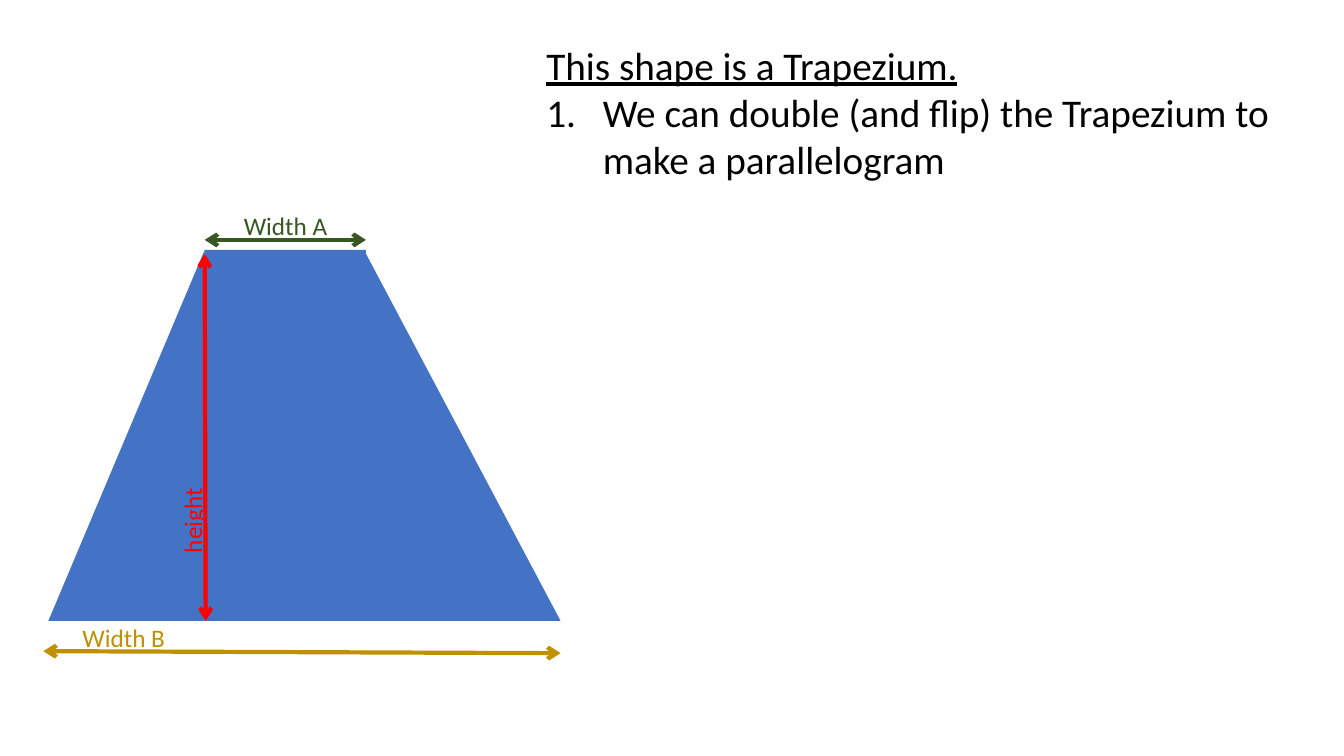
from pptx import Presentation
from pptx.dml.color import RGBColor
from pptx.enum.shapes import MSO_CONNECTOR as Connector, MSO_SHAPE as Shape
from pptx.oxml.ns import qn
from pptx.util import Inches, Pt
from lxml.etree import SubElement

COLORS = {"shape": "4472C4", "text": "000000", "height": "FF0000",
          "width_a": "385723", "width_b": "BF9000"}

deck = Presentation()
deck.slide_width, deck.slide_height = Inches(13.33), Inches(7.5)
page = deck.slides.add_slide(deck.slide_layouts[6])


def add_text(lines, left, top, width, height, size, color):
    box = page.shapes.add_textbox(*map(Inches, (left, top, width, height)))
    frame = box.text_frame
    frame.word_wrap = True
    frame.text = "\n".join(lines)
    for para in frame.paragraphs:
        for span in para.runs:
            span.font.name = "Calibri"
            span.font.size = Pt(size)
            span.font.color.rgb = RGBColor.from_string(COLORS[color])
    return box


def add_arrow(x1, y1, x2, y2, color):
    arrow = page.shapes.add_connector(Connector.STRAIGHT, *map(Inches, (x1, y1, x2, y2)))
    arrow.line.color.rgb = RGBColor.from_string(COLORS[color])
    arrow.line.width = Pt(3)
    outline = arrow.line._get_or_add_ln()
    for end in ("a:headEnd", "a:tailEnd"):
        SubElement(outline, qn(end), type="arrow")
    SubElement(arrow._element.spPr, qn("a:effectLst"))


# Trapezium: a rectangle between two right triangles
base_left, top_left, top_right, base_right = 0.48, 2.03, 3.63, 5.56
top, base = 2.48, 6.16
overlap = 0.02
pieces = [(Shape.RECTANGLE, top_left, top_right, False),
          (Shape.RIGHT_TRIANGLE, base_left, top_left, True),
          (Shape.RIGHT_TRIANGLE, top_right - overlap, base_right, False)]
for kind, left, right, flipped in pieces:
    piece = page.shapes.add_shape(kind, Inches(left), Inches(top),
                                  Inches(right - left), Inches(base - top))
    piece.shadow.inherit = False
    piece.fill.solid()
    piece.fill.fore_color.rgb = RGBColor.from_string(COLORS["shape"])
    piece.line.fill.background()
    if flipped:
        piece._element.spPr.find(qn("a:xfrm")).set("flipH", "1")

# Heading and numbered step
steps = add_text(["This shape is a Trapezium.",
                  "We can double (and flip) the Trapezium to make a parallelogram"],
                 5.32, 0.36, 7.58, 1.99, 28, "text")
heading, step = steps.text_frame.paragraphs
heading.runs[0].font.underline = True
numbering = step._p.get_or_add_pPr()
numbering.set("marL", str(Inches(0.56)))
numbering.set("indent", str(-Inches(0.56)))
SubElement(numbering, qn("a:buFont"), typeface="+mj-lt")
SubElement(numbering, qn("a:buAutoNum"), type="arabicPeriod")

# Dimension arrows and their labels
add_arrow(top_left, 2.52, 2.04, base, "height")
add_arrow(top_right, 2.38, top_left, 2.38, "width_a")
add_arrow(base_right, 6.48, 0.43, 6.46, "width_b")
for label, left, label_top, width, turn, color in [
        ("height", 1.44, 4.92, 0.93, 270, "height"),
        ("Width A", 2.32, 2.04, 1.07, 0, "width_a"),
        ("Width B", 0.72, 6.12, 1.07, 0, "width_b")]:
    add_text([label], left, label_top, width, 0.4, 18, color).rotation = turn

deck.save("out.pptx")
